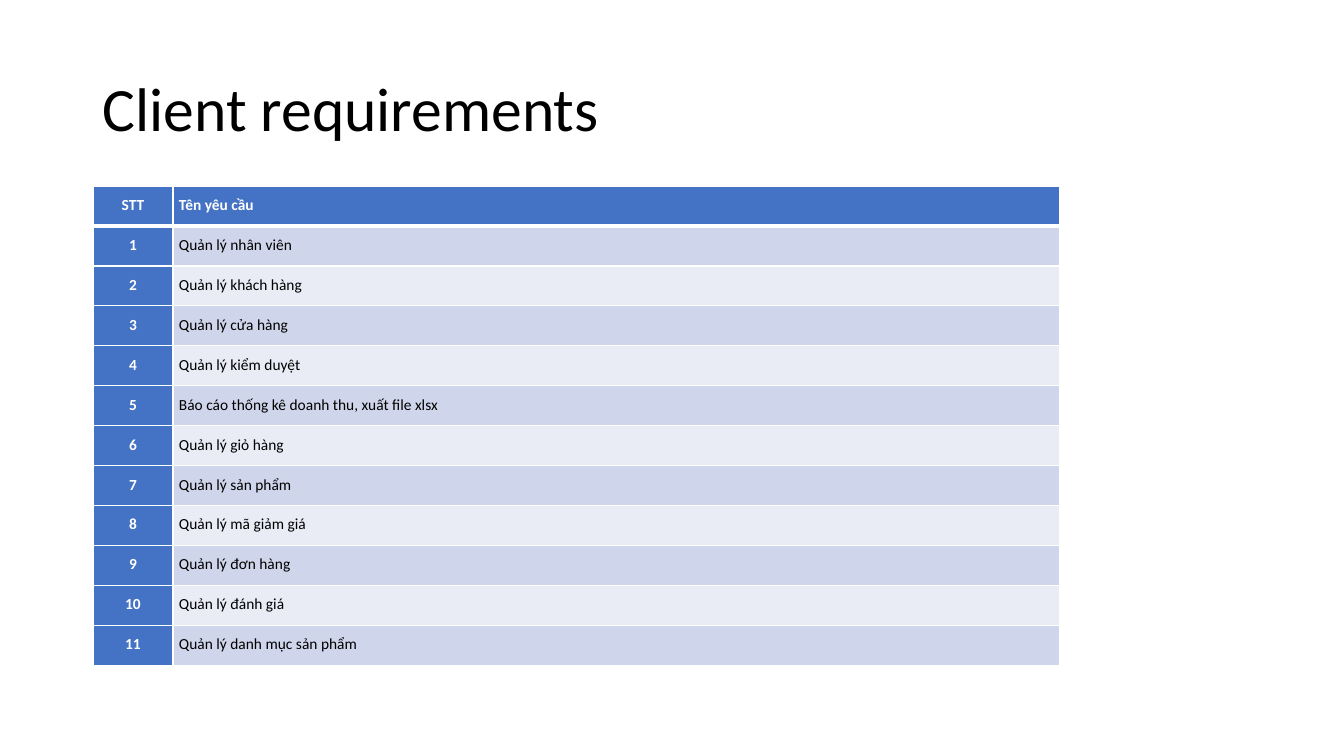
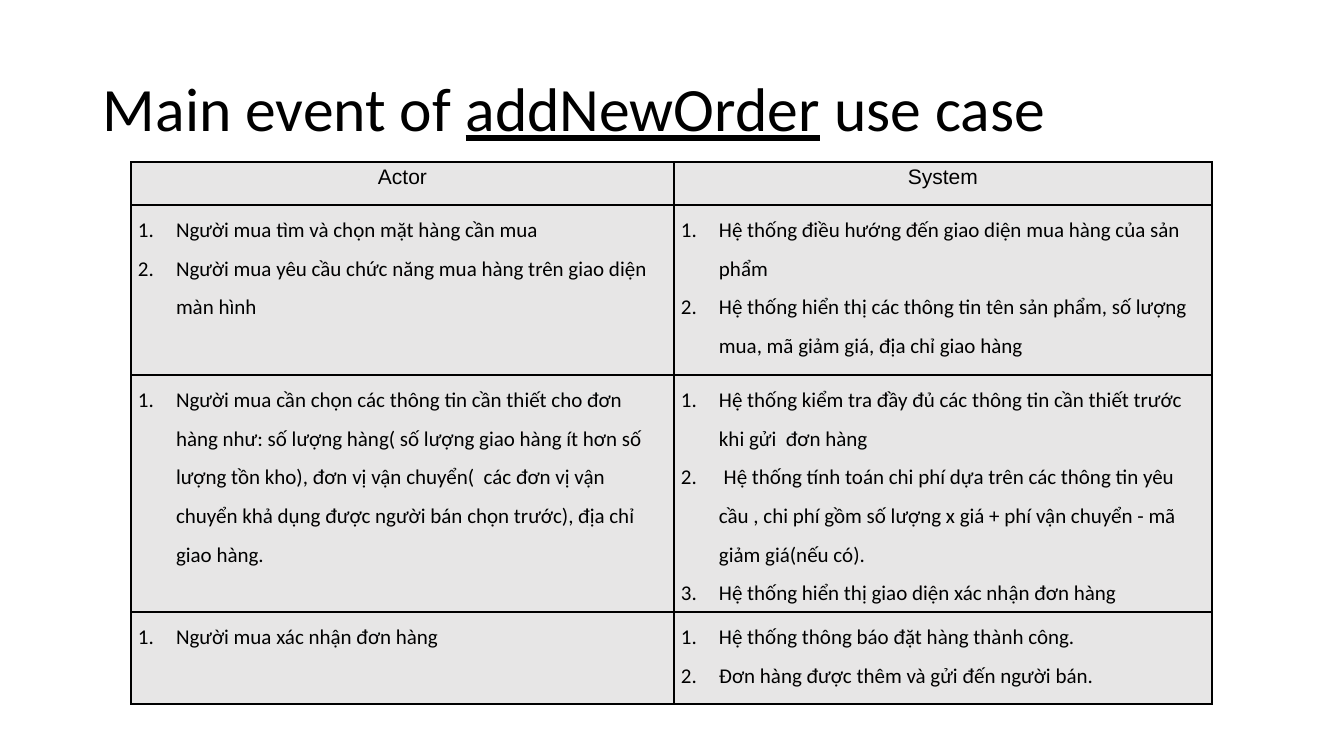
from lxml.etree import SubElement
from pptx import Presentation
from pptx.dml.color import RGBColor
from pptx.enum.text import MSO_ANCHOR as Anchor, PP_ALIGN as Align
from pptx.oxml.ns import qn
from pptx.util import Pt

# Scale: 100.8 px to the inch
EMU_PER_PX = 914400 / 100.8

BLACK = RGBColor(0x00, 0x00, 0x00)
WHITE = RGBColor(0xFF, 0xFF, 0xFF)
BLUE = RGBColor(0x44, 0x72, 0xC4)
BAND_DARK = RGBColor(0xCF, 0xD5, 0xEA)
BAND_LIGHT = RGBColor(0xE9, 0xEB, 0xF5)
GRAY = RGBColor(0xE7, 0xE6, 0xE6)


def px(length):
    return round(length * EMU_PER_PX)


def write_text(frame, paras, size=15, font="Calibri", color=BLACK, bold=False,
               align=Align.LEFT, line=1.5, space=0, numbered=False):
    """Fill a frame; each paragraph is a list of (text, underlined) spans or a string."""
    for index, spans in enumerate(paras):
        para = frame.add_paragraph() if index else frame.paragraphs[0]
        para.alignment = align
        para.line_spacing = line
        para.space_before = para.space_after = Pt(space)
        if numbered:
            props = para._p.get_or_add_pPr()
            props.set("marL", str(px(38)))
            props.set("indent", str(-px(38)))
            SubElement(props, qn("a:buAutoNum"), type="arabicPeriod")
        for text, underlined in [(spans, False)] if isinstance(spans, str) else spans:
            span = para.add_run()
            span.text = text
            span.font.size = Pt(size)
            span.font.name = font
            span.font.bold = bold
            span.font.underline = underlined
            span.font.color.rgb = color


class Deck:
    def __init__(self):
        self.file = Presentation()
        self.file.slide_width = px(1344)
        self.file.slide_height = px(756)
        self.page = None

    def add_page(self, title):
        self.page = self.file.slides.add_slide(self.file.slide_layouts[6])
        box = self.page.shapes.add_textbox(px(93), px(39), px(1159), px(146))
        frame = box.text_frame
        frame.word_wrap = True
        frame.vertical_anchor = Anchor.MIDDLE
        write_text(frame, [title], size=44, line=0.9)

    def add_table(self, left, top, widths, heights):
        frame = self.page.shapes.add_table(
            len(heights), len(widths), px(left), px(top),
            px(sum(widths)), px(sum(heights)))
        table = frame.table
        table.first_row = table.horz_banding = False
        for column, width in zip(table.columns, widths):
            column.width = px(width)
        for row, height in zip(table.rows, heights):
            row.height = px(height)
        return table

    def fill_cell(self, cell, paras, fill, border, inset, top=1, bottom=1, **text_format):
        cell.margin_left = cell.margin_right = px(inset)
        cell.margin_top = cell.margin_bottom = 0
        # Borders come before the fill in the cell properties
        props = cell._tc.get_or_add_tcPr()
        for side, width in zip("LRTB", (1, 1, top, bottom)):
            edge = SubElement(props, qn(f"a:ln{side}"), w=str(Pt(width)))
            solid = SubElement(edge, qn("a:solidFill"))
            SubElement(solid, qn("a:srgbClr"), val=str(border))
        cell.fill.solid()
        cell.fill.fore_color.rgb = fill
        write_text(cell.text_frame, paras, **text_format)


REQUIREMENTS = [
    "Quản lý nhân viên",
    "Quản lý khách hàng",
    "Quản lý cửa hàng",
    "Quản lý kiểm duyệt",
    "Báo cáo thống kê doanh thu, xuất file xlsx",
    "Quản lý giỏ hàng",
    "Quản lý sản phẩm",
    "Quản lý mã giảm giá",
    "Quản lý đơn hàng",
    "Quản lý đánh giá",
    "Quản lý danh mục sản phẩm",
]

# Each step: what the actor does, how the system answers
EVENT_STEPS = [
    (["Người mua tìm và chọn mặt hàng cần mua",
      "Người mua yêu cầu chức năng mua hàng trên giao diện màn hình"],
     ["Hệ thống điều hướng đến giao diện mua hàng của sản phẩm",
      "Hệ thống hiển thị các thông tin tên sản phẩm, số lượng mua, mã giảm giá, "
      "địa chỉ giao hàng"]),
    (["Người mua cần chọn các thông tin cần thiết cho đơn hàng như: số lượng hàng( "
      "số lượng giao hàng ít hơn số lượng tồn kho), đơn vị vận chuyển(  các đơn vị "
      "vận chuyển khả dụng được người bán chọn trước), địa chỉ giao hàng."],
     ["Hệ thống kiểm tra đầy đủ các thông tin cần thiết trước khi gửi  đơn hàng",
      " Hệ thống tính toán chi phí dựa trên các thông tin yêu cầu , chi phí gồm "
      "số lượng x giá + phí vận chuyển - mã giảm giá(nếu có).",
      "Hệ thống hiển thị giao diện xác nhận đơn hàng"]),
    (["Người mua xác nhận đơn hàng"],
     ["Hệ thống thông báo đặt hàng thành công.",
      "Đơn hàng được thêm và gửi đến người bán."]),
]


def add_requirements(deck):
    deck.add_page("Client requirements")
    rows = [("STT", "Tên yêu cầu")]
    rows += [(str(number), name) for number, name in enumerate(REQUIREMENTS, 1)]
    table = deck.add_table(93, 186, [80, 887], [40] * len(rows))
    for r, row in enumerate(rows):
        for c, text in enumerate(row):
            heading = r == 0 or c == 0
            band = BAND_DARK if r % 2 else BAND_LIGHT
            deck.fill_cell(
                table.cell(r, c), [text], BLUE if heading else band, WHITE, inset=6,
                top=3 if r == 1 else 1, bottom=3 if r == 0 else 1,
                size=11, bold=heading, color=WHITE if heading else BLACK,
                align=Align.JUSTIFY if c else Align.CENTER, space=0 if r else 6)


def add_main_event(deck):
    deck.add_page([("Main event of ", False), ("addNewOrder", True), (" use case", False)])
    table = deck.add_table(131, 162, [543, 538], [43, 170, 237, 92])
    style = dict(fill=GRAY, border=BLACK, inset=7)
    for c, heading in enumerate(["Actor", "System"]):
        deck.fill_cell(table.cell(0, c), [heading], **style, font="Arial",
                       align=Align.CENTER, line=1.15, space=6)
    for r, step in enumerate(EVENT_STEPS, 1):
        for c, paras in enumerate(step):
            deck.fill_cell(table.cell(r, c), paras, **style, numbered=True)


def main():
    deck = Deck()
    add_requirements(deck)
    add_main_event(deck)
    deck.file.save("out.pptx")


if __name__ == "__main__":
    main()
